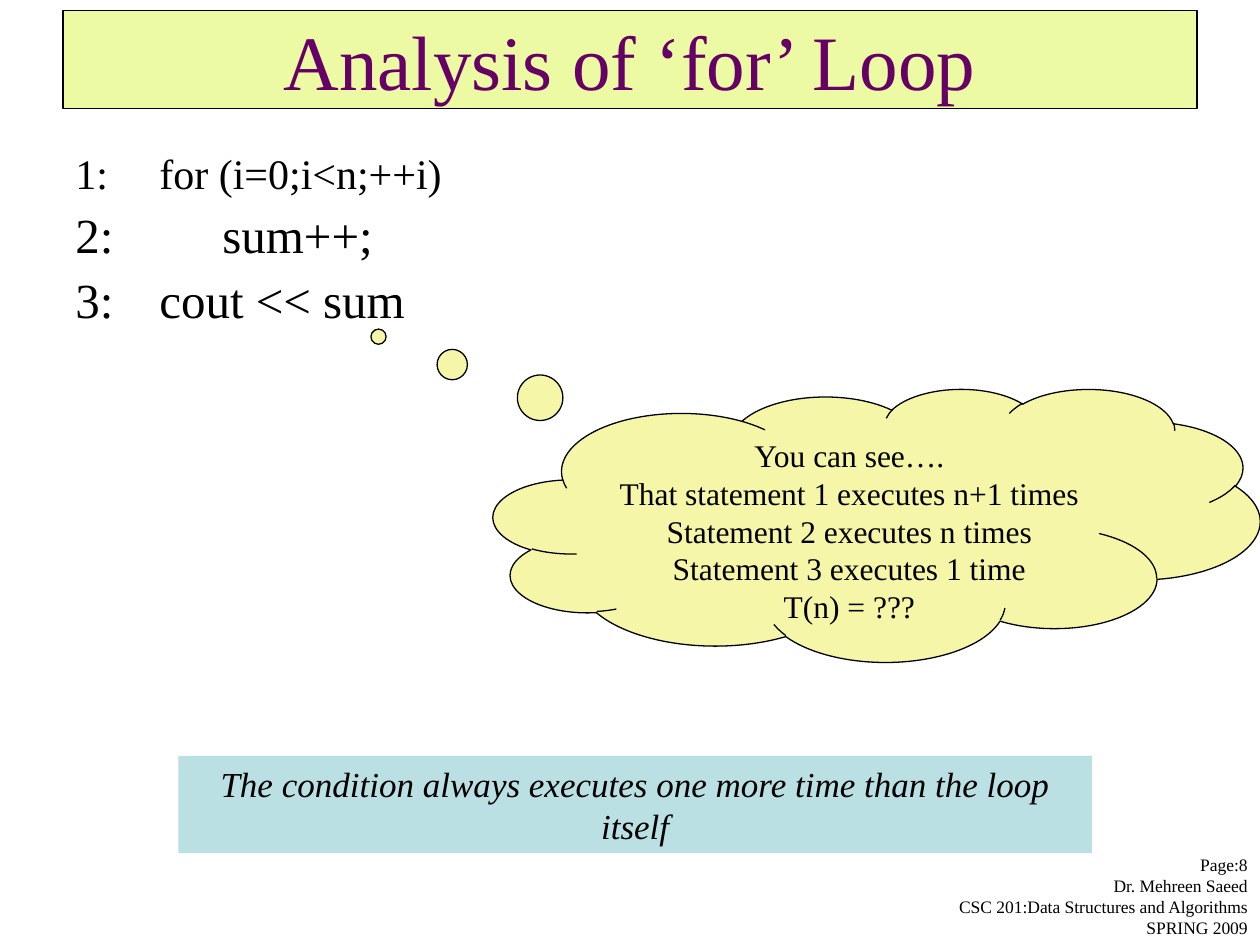
from dataclasses import dataclass

from lxml import etree
from pptx import Presentation
from pptx.dml.color import RGBColor
from pptx.enum.shapes import MSO_SHAPE
from pptx.enum.text import MSO_ANCHOR, PP_ALIGN
from pptx.oxml.ns import qn
from pptx.util import Pt

LEFT, CENTER, RIGHT = PP_ALIGN.LEFT, PP_ALIGN.CENTER, PP_ALIGN.RIGHT
TOP, MIDDLE = MSO_ANCHOR.TOP, MSO_ANCHOR.MIDDLE
RECTANGLE, CLOUD = MSO_SHAPE.RECTANGLE, MSO_SHAPE.CLOUD_CALLOUT
TITLE_ONLY = 5


@dataclass(frozen=True)
class Theme:
    font: str = "Times New Roman"
    ink: str = "000000"
    heading: str = "660066"
    heading_fill: str = "ECFBA3"
    cloud_fill: str = "F6F6A8"
    takeaway_fill: str = "BBE0E3"
    heading_size: int = 44
    loop_size: int = 24
    code_size: int = 28
    takeaway_size: int = 20
    cloud_size: int = 18
    footer_size: int = 10
    outline: float = 0.75
    hanging: int = 48
    tab_step: int = 72


THEME = Theme()


def write(paragraph, text, size, color=THEME.ink, align=LEFT, italic=False):
    paragraph.alignment = align
    run = paragraph.add_run()
    run.text = text
    run.font.name = THEME.font
    run.font.size = Pt(size)
    run.font.italic = italic
    run.font.color.rgb = RGBColor.from_string(color)


def write_lines(frame, lines, **text_format):
    for index, line in enumerate(lines):
        paragraph = frame.add_paragraph() if index else frame.paragraphs[0]
        write(paragraph, line, **text_format)


def paint(shape, fill, outlined=False):
    shape.fill.solid()
    shape.fill.fore_color.rgb = RGBColor.from_string(fill)
    if outlined:
        shape.line.color.rgb = RGBColor.from_string(THEME.ink)
        shape.line.width = Pt(THEME.outline)
    else:
        shape.line.fill.background()


def add_panel(slide, kind, box, fill, anchor, outlined=False):
    panel = slide.shapes.add_shape(kind, *map(Pt, box))
    panel.shadow.inherit = False
    paint(panel, fill, outlined)
    panel.text_frame.word_wrap = True
    panel.text_frame.vertical_anchor = anchor
    return panel


def add_text_frame(slide, box):
    frame = slide.shapes.add_textbox(*map(Pt, box)).text_frame
    frame.word_wrap = True
    return frame


def add_heading(slide, text):
    heading = slide.shapes.title
    heading.left, heading.top, heading.width, heading.height = map(Pt, (36, 6, 648, 56))
    paint(heading, THEME.heading_fill, outlined=True)
    heading.text_frame.vertical_anchor = MIDDLE
    write(heading.text_frame.paragraphs[0], text, THEME.heading_size,
          color=THEME.heading, align=CENTER)


def set_code_tabs(paragraph):
    properties = paragraph._p.get_or_add_pPr()
    properties.set("marL", str(Pt(THEME.hanging)))
    properties.set("indent", str(Pt(-THEME.hanging)))
    tabs = etree.SubElement(properties, qn("a:tabLst"))
    for step in range(8):
        etree.SubElement(tabs, qn("a:tab"), pos=str(Pt(step * THEME.tab_step)), algn="l")


def add_code(slide, statements):
    frame = add_text_frame(slide, (36, 84, 336, 108))
    for index, (statement, size) in enumerate(statements):
        paragraph = frame.add_paragraph() if index else frame.paragraphs[0]
        paragraph.line_spacing = 0.9
        if index:
            paragraph.space_before = Pt(7)
        set_code_tabs(paragraph)
        write(paragraph, statement, size)


def add_thought(slide, lines):
    cloud = add_panel(slide, CLOUD, (282, 222, 438, 156), THEME.cloud_fill, TOP, outlined=True)
    cloud.adjustments[0] = -0.65
    cloud.adjustments[1] = -0.69
    write_lines(cloud.text_frame, lines, size=THEME.cloud_size, align=CENTER)


def add_takeaway(slide, text):
    takeaway = add_panel(slide, RECTANGLE, (102, 432, 522, 55.5), THEME.takeaway_fill, MIDDLE)
    write_lines(takeaway.text_frame, [text], size=THEME.takeaway_size,
                align=CENTER, italic=True)


def add_footer(slide, lines):
    frame = add_text_frame(slide, (384, 484.5, 336, 55))
    write_lines(frame, lines, size=THEME.footer_size, align=RIGHT)


def main():
    deck = Presentation()
    deck.slide_width, deck.slide_height = Pt(720), Pt(540)
    slide = deck.slides.add_slide(deck.slide_layouts[TITLE_ONLY])
    add_footer(slide, [
        "Page:8",
        "Dr. Mehreen Saeed",
        "CSC 201:Data Structures and Algorithms",
        "SPRING 2009",
    ])
    add_heading(slide, "Analysis of ‘for’ Loop")
    add_code(slide, [
        ("1:\tfor (i=0;i<n;++i)", THEME.loop_size),
        ("2:\t\tsum++;", THEME.code_size),
        ("3:\tcout << sum", THEME.code_size),
    ])
    add_thought(slide, [
        "You can see….",
        "That statement 1 executes n+1 times",
        "Statement 2 executes n times",
        "Statement 3 executes 1 time",
        "T(n) = ???",
    ])
    add_takeaway(slide, "The condition always executes one more time than the loop itself")
    deck.save("out.pptx")


if __name__ == "__main__":
    main()
